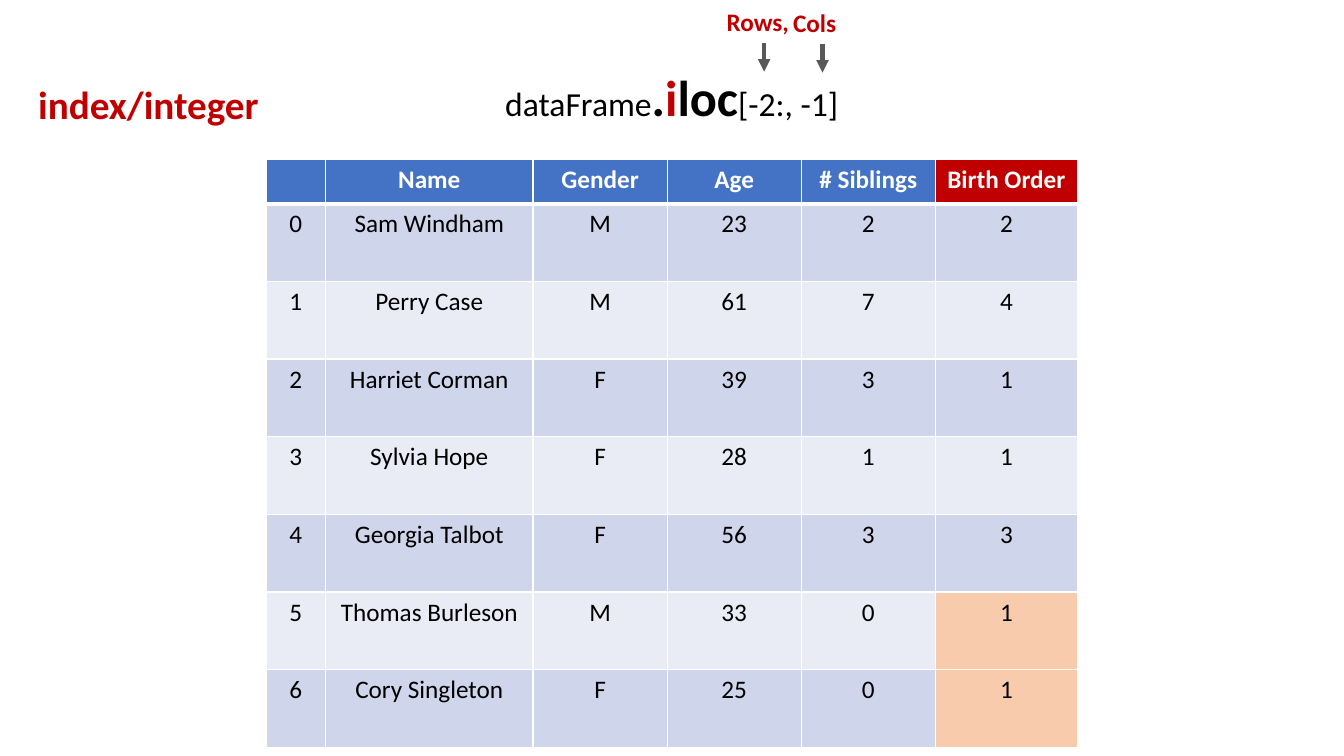
from dataclasses import dataclass

from lxml.etree import SubElement
from pptx import Presentation
from pptx.dml.color import RGBColor
from pptx.enum.shapes import MSO_CONNECTOR
from pptx.enum.text import MSO_ANCHOR, MSO_AUTO_SIZE, PP_ALIGN
from pptx.oxml.ns import qn
from pptx.util import Pt


@dataclass(frozen=True)
class Theme:
    """Colours, type sizes and font of the slide."""
    font: str = "Calibri"
    white: str = "FFFFFF"
    black: str = "000000"
    red: str = "C00000"
    header: str = "4472C4"
    bands: tuple = ("CFD5EA", "E9EBF5")
    selected: str = "F8CBAD"
    arrow: str = "595959"
    small: int = 18
    code: int = 24
    label: int = 28
    method: int = 36


THEME = Theme()

# Runs: text, size, colour, bold
EXPRESSION = [
    ("dataFrame", THEME.code, THEME.black, False),
    (".", THEME.method, THEME.black, True),
    ("i", THEME.method, THEME.red, True),
    ("loc", THEME.method, THEME.black, True),
    ("[-2:, -1]", THEME.code, THEME.black, False),
]
EXPRESSION_BOX = (321.8, 43.9, 316.1, 51.1)

# Labels: text, size, box
LABELS = [
    ("Rows,", THEME.small, (511.9, 0.7, 59.8, 28.8)),
    ("Cols", THEME.small, (559.4, 1.4, 54.7, 28.8)),
    ("index/integer", THEME.label, (20.2, 54, 202.3, 41)),
]
ARROW_STARTS = [(545.8, 31), (587.5, 31.7)]
ARROW_LENGTH = 20.2

COLUMNS = ["", "Name", "Gender", "Age", "# Siblings", "Birth Order"]
PEOPLE = [
    ("Sam Windham", "M", 23, 2, 2),
    ("Perry Case", "M", 61, 7, 4),
    ("Harriet Corman", "F", 39, 3, 1),
    ("Sylvia Hope", "F", 28, 1, 1),
    ("Georgia Talbot", "F", 56, 3, 3),
    ("Thomas Burleson", "M", 33, 0, 1),
    ("Cory Singleton", "F", 25, 0, 1),
]
SELECTED_COLUMN = len(COLUMNS) - 1
SELECTED_ROWS = range(len(PEOPLE) - 2, len(PEOPLE))
TABLE_LEFT, TABLE_TOP = 190.2, 113.8
COLUMN_WIDTHS = [42.3, 148.3, 95.8, 95.8, 95.8, 101.5]
HEADER_HEIGHT, ROW_HEIGHT = 31.7, 55.5


def place(box, left, top, width, height):
    """Set the position and size of a shape in points."""
    frame = {"left": left, "top": top, "width": width, "height": height}
    for key, value in frame.items():
        setattr(box, key, Pt(value))


def write(frame, runs, align=PP_ALIGN.LEFT):
    """Fill the first paragraph with formatted runs."""
    paragraph = frame.paragraphs[0]
    paragraph.alignment = align
    for words, size, colour, bold in runs:
        run = paragraph.add_run()
        run.text = words
        run.font.color.rgb = RGBColor.from_string(colour)
        formats = {"name": THEME.font, "size": Pt(size), "bold": bold}
        for key, value in formats.items():
            setattr(run.font, key, value)


def set_frame(frame):
    """Make a text frame wrap, start at its top and keep its size."""
    formats = {"word_wrap": True, "vertical_anchor": MSO_ANCHOR.TOP,
               "auto_size": MSO_AUTO_SIZE.NONE}
    for key, value in formats.items():
        setattr(frame, key, value)


def add_label(slide, words, size, box):
    """Add a bold red label."""
    label = slide.shapes.add_textbox(*map(Pt, box))
    set_frame(label.text_frame)
    write(label.text_frame, [(words, size, THEME.red, True)])


def add_arrow(slide, left, top):
    """Add an arrow that points down to the expression."""
    arrow = slide.shapes.add_connector(
        MSO_CONNECTOR.STRAIGHT, Pt(left), Pt(top), Pt(left), Pt(top + ARROW_LENGTH))
    arrow.line.width = Pt(3)
    arrow.line.color.rgb = RGBColor.from_string(THEME.arrow)
    SubElement(arrow.line._get_or_add_ln(), qn("a:tailEnd"), type="triangle")
    SubElement(arrow._element.spPr, qn("a:effectLst"))


def add_borders(cell, bottom):
    """Draw white cell borders, with the given width at the bottom."""
    properties = cell._tc.get_or_add_tcPr()
    for side, width in {"L": 1, "R": 1, "T": 1, "B": bottom}.items():
        border = SubElement(properties, qn(f"a:ln{side}"), w=str(Pt(width)))
        fill = SubElement(border, qn("a:solidFill"))
        SubElement(fill, qn("a:srgbClr"), val=THEME.white)


def fill_cell(cell, words, fill, colour, bold, bottom):
    """Write and format one table cell."""
    add_borders(cell, bottom)
    cell.fill.solid()
    cell.fill.fore_color.rgb = RGBColor.from_string(fill)
    write(cell.text_frame, [(str(words), THEME.small, colour, bold)], PP_ALIGN.CENTER)


def add_people(slide):
    """Add the data table with the selected cells marked."""
    height = HEADER_HEIGHT + ROW_HEIGHT * len(PEOPLE)
    box = (TABLE_LEFT, TABLE_TOP, sum(COLUMN_WIDTHS), height)
    table = slide.shapes.add_table(
        len(PEOPLE) + 1, len(COLUMNS), *map(Pt, box)).table
    for column, width in zip(table.columns, COLUMN_WIDTHS):
        column.width = Pt(width)
    for index, row in enumerate(table.rows):
        row.height = Pt(ROW_HEIGHT if index else HEADER_HEIGHT)

    for column, heading in enumerate(COLUMNS):
        fill = THEME.red if column == SELECTED_COLUMN else THEME.header
        fill_cell(table.cell(0, column), heading, fill, THEME.white, True, 3)
    for index, person in enumerate(PEOPLE):
        for column, value in enumerate((index, *person)):
            chosen = column == SELECTED_COLUMN and index in SELECTED_ROWS
            fill = THEME.selected if chosen else THEME.bands[index % 2]
            fill_cell(table.cell(index + 1, column), value, fill, THEME.black, False, 1)
    for column in range(len(COLUMNS)):
        top_border = table.cell(1, column)._tc.tcPr.find(qn("a:lnT"))
        top_border.set("w", str(Pt(3)))


def main():
    """Build and save the slide."""
    deck = Presentation()
    deck.slide_width, deck.slide_height = Pt(960), Pt(540)
    slide = deck.slides.add_slide(deck.slide_layouts[5])
    expression = slide.shapes.title
    place(expression, *EXPRESSION_BOX)
    set_frame(expression.text_frame)
    write(expression.text_frame, EXPRESSION, PP_ALIGN.CENTER)
    add_people(slide)
    for label in LABELS:
        add_label(slide, *label)
    for start in ARROW_STARTS:
        add_arrow(slide, *start)
    deck.save("out.pptx")


main()
